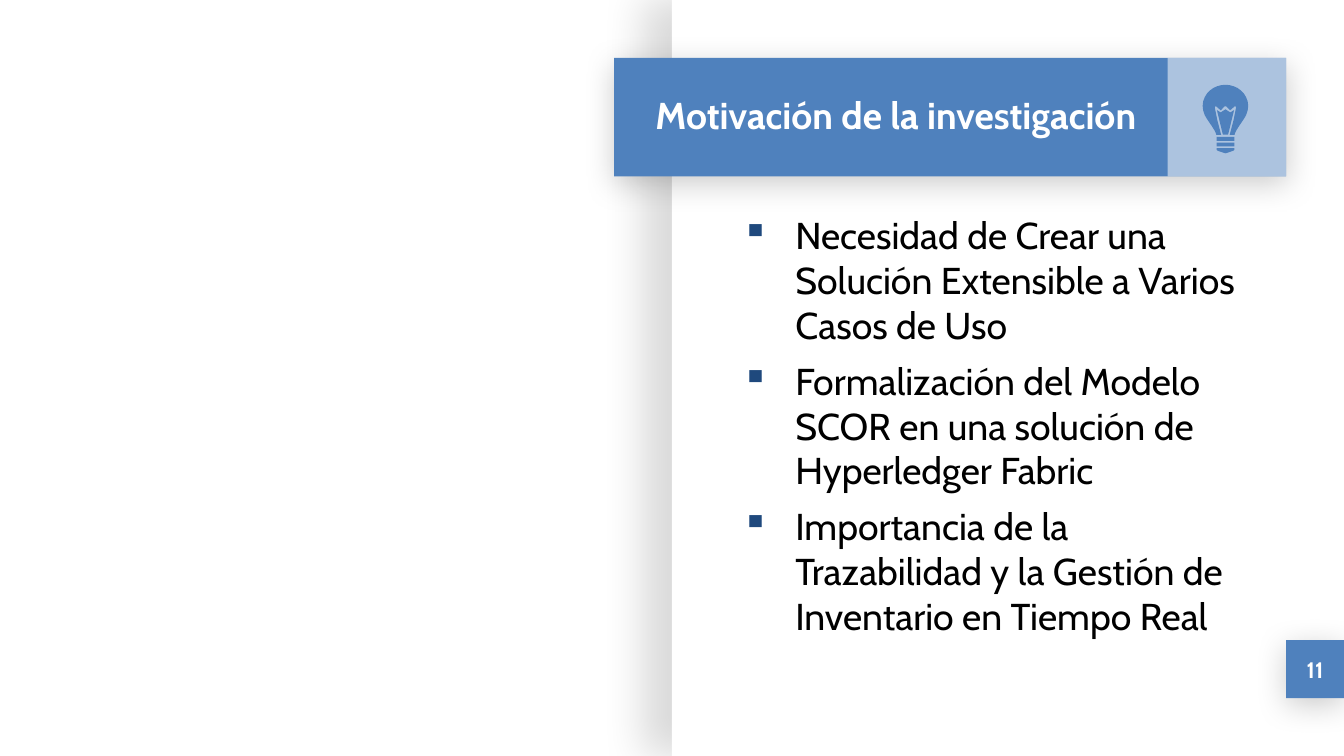
from pptx import Presentation
from pptx.dml.color import RGBColor
from pptx.enum.shapes import MSO_SHAPE as Shape
from pptx.enum.text import MSO_ANCHOR as Anchor, PP_ALIGN as Align
from pptx.oxml.ns import qn
from pptx.util import Pt
from lxml.etree import SubElement

BLUE, NAVY, WHITE, BLACK = "4F81BD", "1F497D", "FFFFFF", "000000"
SOFT = {"alpha": 20, "blur": 16.9, "distance": 3.8, "angle": 90}
SIDE = {"alpha": 15, "blur": 22.5, "distance": 15, "angle": 180}
INSETS = ("margin_left", "margin_top", "margin_right", "margin_bottom")
TITLE = {"name": "Cabin", "size": Pt(20), "bold": True}
BODY = {"name": "Cabin", "size": Pt(20), "bold": False}
NUMBER = {"name": "Cabin", "size": Pt(12), "bold": True}
REASONS = (
    "Necesidad de Crear una Solución Extensible a Varios Casos de Uso",
    "Formalización del Modelo SCOR en una solución de Hyperledger Fabric",
    "Importancia de la Trazabilidad y la Gestión de Inventario en Tiempo Real",
)
BULB_CENTER = 656.5
GLASS = (
    (0, 45.4), (2.2, 45.6), (4.4, 46.2), (6.4, 47.1), (8.2, 48.4),
    (9.8, 50), (11, 51.9), (11.9, 54.2), (12.2, 56.8), (11.9, 59.2),
    (11.1, 61.6), (10.1, 63.4), (8.5, 65.8), (7.3, 67.5), (6, 69.6),
    (5.2, 71.2), (4.9, 72.2), (2.3, 72.2), (4.4, 64.2), (5.7, 57.6),
    (5.4, 56.9), (4.9, 57), (2.5, 59.1), (0.5, 57), (0, 56.9),
)
FILAMENT = ((0, 58.6), (2.3, 60.1), (2.6, 60.3), (2.9, 60.1), (4.6, 59),
            (1.4, 72.2), (0, 72.2))
BANDS = (
    ((0, 73.4), (4.8, 73.4), (4.8, 75.5), (0, 75.5)),
    ((0, 76.4), (4.8, 76.4), (4.8, 78.5), (0, 78.5)),
    ((0, 79.3), (4.8, 79.3), (4.8, 80.2), (4.3, 80.7), (0.5, 82), (0, 82.1)),
)


def color(value):
    return RGBColor.from_string(value)


def paint(shape, fill):
    shape.shadow.inherit = False
    shape.fill.solid()
    shape.fill.fore_color.rgb = color(fill)
    shape.line.fill.background()


def add_alpha(node, percent):
    SubElement(node, qn("a:alpha"), val=str(percent * 1000))


def add_shadow(shape, alpha, blur, distance, angle):
    effects = shape._element.spPr.find(qn("a:effectLst"))
    outer = SubElement(effects, qn("a:outerShdw"), blurRad=str(Pt(blur)),
                       dist=str(Pt(distance)), dir=str(angle * 60000),
                       algn="bl", rotWithShape="0")
    add_alpha(SubElement(outer, qn("a:srgbClr"), val=BLACK), alpha)


def add_panel(page, area, fill, shadow=None, alpha=None):
    panel = page.shapes.add_shape(Shape.RECTANGLE, *map(Pt, area))
    paint(panel, fill)
    if shadow:
        add_shadow(panel, **shadow)
    if alpha:
        add_alpha(panel._element.spPr.find(".//" + qn("a:srgbClr")), alpha)
    return panel


def add_text_box(page, area):
    return page.shapes.add_textbox(*map(Pt, area))


def add_bullet(para):
    properties = para._p.get_or_add_pPr()
    properties.set("marL", str(Pt(36)))
    properties.set("indent", str(Pt(-28.8)))
    bullet_color = SubElement(properties, qn("a:buClr"))
    SubElement(bullet_color, qn("a:srgbClr"), val=NAVY)
    SubElement(properties, qn("a:buChar"), char="▪")


def write(box, lines, style, ink, anchor=Anchor.TOP, align=Align.LEFT, bullets=False):
    frame = box.text_frame
    frame.word_wrap = True
    frame.vertical_anchor = anchor
    for inset in INSETS:
        setattr(frame, inset, Pt(7.2))
    for index, line in enumerate(lines):
        para = frame.add_paragraph() if index else frame.paragraphs[0]
        para.alignment = align
        if index:
            para.space_before = Pt(6)
        if bullets:
            add_bullet(para)
        span = para.add_run()
        span.text = line
        for key, value in style.items():
            setattr(span.font, key, value)
        span.font.color.rgb = color(ink)


def add_symmetric(group, half):
    mirrored = [(-x, y) for x, y in reversed(half) if x]
    points = [(Pt(BULB_CENTER + x), Pt(y)) for x, y in (*half, *mirrored)]
    builder = group.shapes.build_freeform(*points[0])
    builder.add_line_segments(points[1:], close=True)
    paint(builder.convert_to_shape(), BLUE)


def add_bulb(page):
    group = page.shapes.add_group_shape()
    for half in (*BANDS, FILAMENT, GLASS):
        add_symmetric(group, half)


def main():
    deck = Presentation()
    deck.slide_width, deck.slide_height = Pt(720), Pt(405)
    page = deck.slides.add_slide(deck.slide_layouts[6])

    add_panel(page, (360, 0, 360, 405), WHITE, SIDE)
    add_panel(page, (329, 31, 360, 63.5), BLUE, SOFT)
    add_panel(page, (625.5, 31, 63.5, 63.5), WHITE, alpha=53)

    title = add_text_box(page, (344, 29.5, 286, 63.5))
    write(title, ["Motivación de la investigación"], TITLE, WHITE, Anchor.MIDDLE)
    body = add_text_box(page, (383, 106.5, 297.5, 231))
    write(body, REASONS, BODY, BLACK, bullets=True)

    badge = add_panel(page, (689, 343, 31, 31), BLUE, SOFT)
    write(badge, ["11"], NUMBER, WHITE, Anchor.MIDDLE, Align.CENTER)
    add_bulb(page)
    deck.save("out.pptx")


if __name__ == "__main__":
    main()
